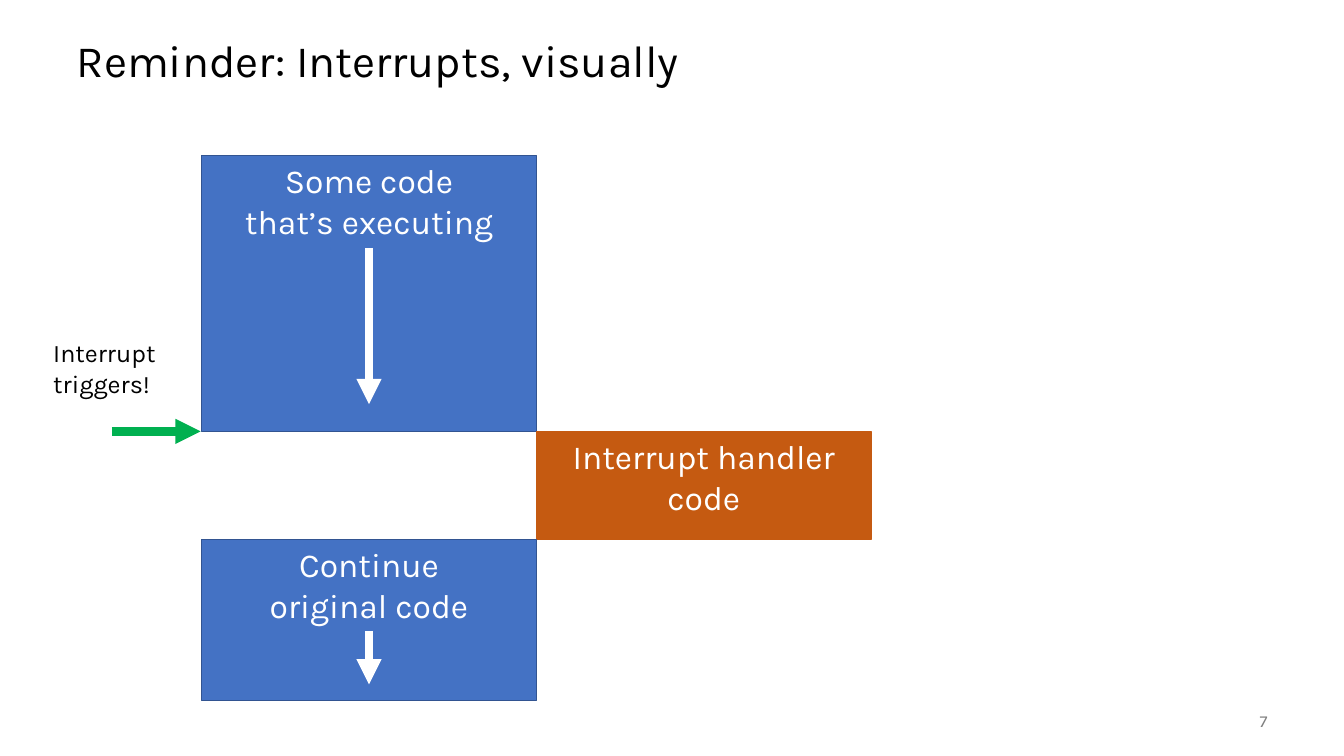
from lxml.etree import SubElement
from pptx import Presentation
from pptx.dml.color import RGBColor
from pptx.enum.shapes import MSO_CONNECTOR, MSO_SHAPE
from pptx.enum.text import MSO_ANCHOR, MSO_AUTO_SIZE, PP_ALIGN
from pptx.oxml.ns import qn
from pptx.util import Inches, Pt

FONT = "Karla"
BLUE, BLUE_EDGE, ORANGE, GREEN = "4472C4", "325491", "C55A11", "00B050"
WHITE, BLACK, GRAY = "FFFFFF", "000000", "808080"

# Timeline grid: two columns of code, three rows of time
BLOCK_WIDTH = 3.32
ROW_HEIGHTS = (2.74, 1.07, 1.6)


def color(value):
    return RGBColor.from_string(value)


def write(shape, text, size, ink, align=PP_ALIGN.LEFT, anchor=MSO_ANCHOR.TOP):
    frame = shape.text_frame
    frame.word_wrap = True
    frame.vertical_anchor = anchor
    frame.text = text
    para = frame.paragraphs[0]
    para.alignment = align
    para.font.name = FONT
    para.font.size = Pt(size)
    para.font.color.rgb = color(ink)
    return para


def add_text(page, box, *style):
    shape = page.shapes.add_textbox(*map(Inches, box))
    write(shape, *style)
    return shape


def add_arrow(page, start, end, ink):
    points = map(Inches, (*start, *end))
    arrow = page.shapes.add_connector(MSO_CONNECTOR.STRAIGHT, *points)
    arrow.line.color.rgb = color(ink)
    arrow.line.width = Pt(6)
    SubElement(arrow.line._get_or_add_ln(), qn("a:tailEnd"), type="triangle")
    SubElement(arrow._element.spPr, qn("a:effectLst"))


def add_code_block(page, box, text, fill, edge, arrow_span=None):
    """A block of code; arrow_span gives the arrow's ends below the block's top."""
    left, top, width, height = box
    block = page.shapes.add_shape(MSO_SHAPE.RECTANGLE, *map(Inches, box))
    block.shadow.inherit = False
    block.fill.solid()
    block.fill.fore_color.rgb = color(fill)
    block.line.color.rgb = color(edge)
    block.line.width = Pt(1)
    write(block, text, 24, WHITE, PP_ALIGN.CENTER)
    if arrow_span:
        middle = left + width / 2
        start, end = arrow_span
        add_arrow(page, (middle, top + start), (middle, top + end), WHITE)


def add_title(page, box, text):
    title = page.shapes.title
    title.left, title.top, title.width, title.height = map(Inches, box)
    para = write(title, text, 32, BLACK, anchor=MSO_ANCHOR.MIDDLE)
    para.line_spacing = 0.9


def add_trigger(page, left, tip, text):
    """The label and the arrow that point at the moment of the interrupt."""
    x, y = tip
    label = add_text(page, (left, y - 0.98, x - left, 0.71), text, 18, BLACK)
    label.text_frame.auto_size = MSO_AUTO_SIZE.SHAPE_TO_FIT_TEXT
    add_arrow(page, (x - 0.89, y), (x - 0.01, y), GREEN)


def add_timeline(page, left, top):
    blocks = (
        (0, "Some code\vthat’s executing", BLUE, BLUE_EDGE, (0.92, 2.47)),
        (1, "Interrupt handler\vcode", ORANGE, ORANGE, None),
        (0, "Continue\voriginal code", BLUE, BLUE_EDGE, (0.91, 1.44)),
    )
    row_top = top
    for height, (column, *style) in zip(ROW_HEIGHTS, blocks):
        box = (left + column * BLOCK_WIDTH, row_top, BLOCK_WIDTH, height)
        add_code_block(page, box, *style)
        row_top += height
    add_trigger(page, 0.43, (left, top + ROW_HEIGHTS[0]), "Interrupt triggers!")


def main():
    deck = Presentation()
    deck.slide_width, deck.slide_height = Inches(13.33), Inches(7.5)
    page = deck.slides.add_slide(deck.slide_layouts[5])
    add_title(page, (0.66, 0.25, 12, 0.75), "Reminder: Interrupts, visually")
    add_timeline(page, 2, 1.54)
    # Page number
    add_text(page, (11.67, 6.95, 1, 0.4), "7", 12, GRAY,
             PP_ALIGN.RIGHT, MSO_ANCHOR.MIDDLE)
    deck.save("out.pptx")


if __name__ == "__main__":
    main()
